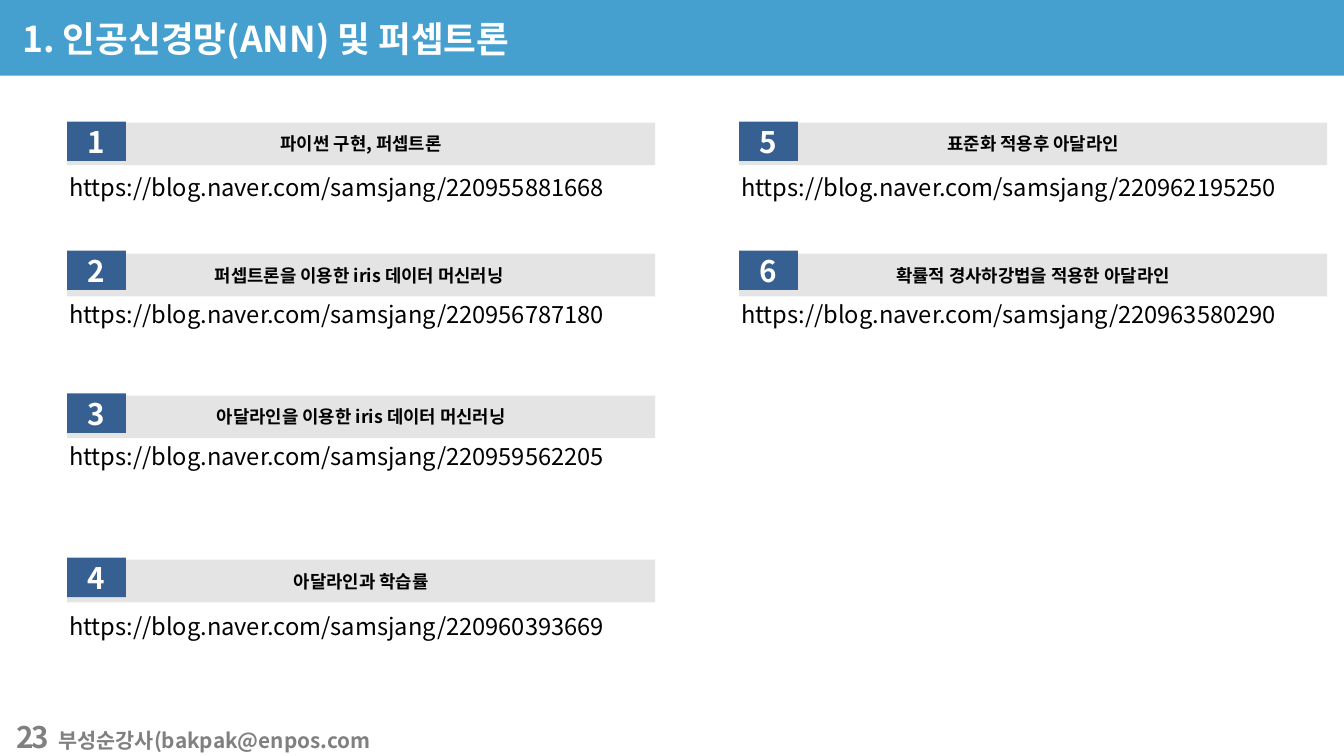
import pptx
import pptx.util
import pptx.dml.color
import pptx.enum.shapes
import pptx.enum.text
import pptx.oxml
import pptx.oxml.ns

Inches = pptx.util.Inches
Align = pptx.enum.text.PP_ALIGN
Anchor = pptx.enum.text.MSO_ANCHOR
FONT = "Noto Sans CJK KR"
COLORS = {
    "banner": "45A0CF",
    "bar": "E4E4E4",
    "badge": "376092",
    "white": "FFFFFF",
    "black": "000000",
    "footer": "808080",
}
WIDTH, HEIGHT = 12.6, 7.09
COLUMN = WIDTH / 2
MARGIN = WIDTH * 0.05
BAR_WIDTH = COLUMN * 0.875
BADGE_WIDTH = 0.55

presentation = pptx.Presentation()
presentation.slide_width = Inches(WIDTH)
presentation.slide_height = Inches(HEIGHT)
slide = presentation.slides.add_slide(presentation.slide_layouts[6])


def add_box(left, top, width, height, fill=None):
    area = [Inches(length) for length in (left, top, width, height)]
    if fill is None:
        return slide.shapes.add_textbox(*area)
    shape = slide.shapes.add_shape(pptx.enum.shapes.MSO_SHAPE.RECTANGLE, *area)
    shape.shadow.inherit = False
    shape.fill.solid()
    shape.fill.fore_color.rgb = pptx.dml.color.RGBColor.from_string(COLORS[fill])
    shape.line.fill.background()
    return shape


def write(shape, text, size, color, bold=True, align=Align.LEFT, anchor=Anchor.TOP):
    frame = shape.text_frame
    frame.word_wrap = True
    frame.vertical_anchor = anchor
    paragraph = frame.paragraphs[0]
    paragraph.alignment = align
    run = paragraph.add_run()
    run.text = text
    run.font.size = pptx.util.Pt(size)
    run.font.bold = bold
    run.font.color.rgb = pptx.dml.color.RGBColor.from_string(COLORS[color])
    run.font.name = FONT
    east_asian = pptx.oxml.parse_xml(
        f'<a:ea {pptx.oxml.ns.nsdecls("a")} typeface="{FONT}"/>'
    )
    run.font._element.append(east_asian)
    return run


add_box(0, 0, WIDTH, 0.71, "banner")

title = add_box(0.08, 0.1, WIDTH * 0.72, 0.53)
title.text_frame.margin_left = Inches(0.13)
title.text_frame.margin_top = Inches(0.06)
write(title, "1. 인공신경망(ANN) 및 퍼셉트론", 24, "white")

page_number = add_box(0, 6.72, 0.59, 0.38)
page_number.text_frame.margin_left = 0
page_number.text_frame.margin_right = Inches(0.13)
number_run = write(page_number, "23", 20, "footer", align=Align.RIGHT, anchor=Anchor.MIDDLE)
number_run.font._element.set("spc", "-150")

footer = add_box(0.45, 6.78, 4.9, 0.34)
write(footer, "부성순강사(bakpak@enpos.com", 14, "footer")

rows = [(1.14, 1.15, 1.57), (2.35, 2.38, 2.76), (3.69, 3.71, 4.09), (5.23, 5.25, 5.69)]
topics = [
    ("파이썬 구현, 퍼셉트론", "220955881668"),
    ("퍼셉트론을 이용한 iris 데이터 머신러닝 ", "220956787180"),
    ("아달라인을 이용한 iris 데이터 머신러닝", "220959562205"),
    ("아달라인과 학습률", "220960393669"),
    ("표준화 적용후 아달라인", "220962195250"),
    ("확률적 경사하강법을 적용한 아달라인", "220963580290"),
]

for index, (topic, post) in enumerate(topics):
    column, row = divmod(index, len(rows))
    left = MARGIN + column * COLUMN
    badge_top, bar_top, link_top = rows[row]

    link = add_box(left - 0.08, link_top, BAR_WIDTH + 0.2, 0.37)
    write(link, f"https://blog.naver.com/samsjang/{post}", 16, "black", bold=False)

    bar = add_box(left, bar_top, BAR_WIDTH, 0.4, "bar")
    write(bar, topic, 12, "black", align=Align.CENTER, anchor=Anchor.MIDDLE)

    badge = add_box(left, badge_top, BADGE_WIDTH, 0.37, "badge")
    write(badge, str(index + 1), 20, "white", align=Align.CENTER, anchor=Anchor.MIDDLE)

presentation.save("out.pptx")
